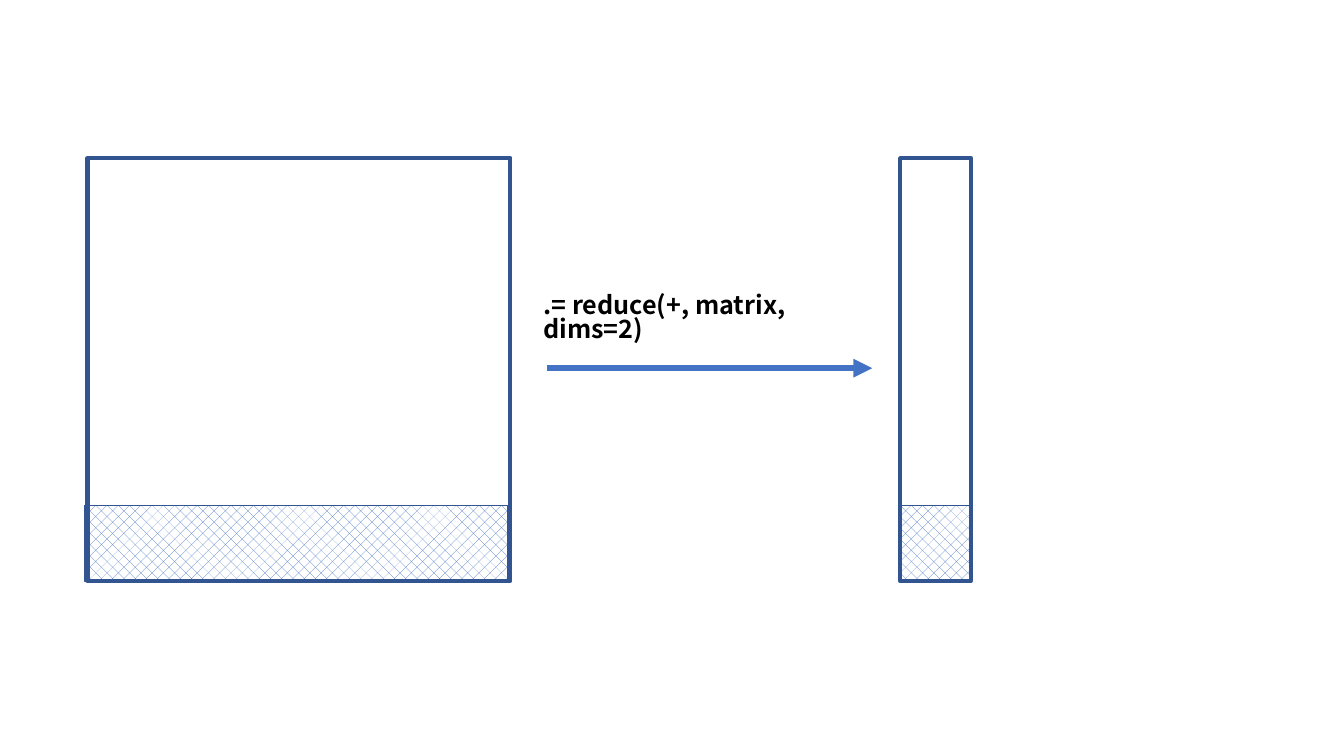
from dataclasses import dataclass

from lxml.etree import SubElement
from pptx import Presentation
from pptx.dml.color import RGBColor
from pptx.enum.dml import MSO_PATTERN
from pptx.enum.shapes import MSO_CONNECTOR, MSO_SHAPE
from pptx.enum.text import MSO_AUTO_SIZE
from pptx.oxml.ns import qn
from pptx.slide import Slide
from pptx.util import Pt

BLUE = "4472C4"
OUTLINE = "325491"
WHITE = "FFFFFF"
BLACK = "000000"
FONT = "Noto Sans CJK SC"

# Shared vertical layout of the matrix and its reduced column
TOP, SIDE = 113, 302
BAND_HEIGHT = 54
BAND_TOP = TOP + SIDE - BAND_HEIGHT
COLUMN_LEFT, COLUMN_WIDTH = 643, 50.4
ARROW_Y = 263


@dataclass
class Box:
    left: float
    top: float
    width: float
    height: float
    line_width: float
    hatched: bool = False


BAND_BOXES = [
    Box(60.5, BAND_TOP, SIDE, BAND_HEIGHT, 1, hatched=True),
    Box(COLUMN_LEFT, BAND_TOP, COLUMN_WIDTH, BAND_HEIGHT, 1, hatched=True),
]
FRAME_BOXES = [
    Box(62.6, TOP, SIDE, SIDE, 3),
    Box(COLUMN_LEFT, TOP, COLUMN_WIDTH, SIDE, 3),
]


def color(hex_code: str) -> RGBColor:
    return RGBColor.from_string(hex_code)


def draw_box(slide: Slide, box: Box) -> None:
    rect = slide.shapes.add_shape(
        MSO_SHAPE.RECTANGLE, Pt(box.left), Pt(box.top), Pt(box.width), Pt(box.height)
    )
    rect.shadow.inherit = False
    if box.hatched:
        rect.fill.patterned()
        rect.fill.pattern = MSO_PATTERN.PERCENT_25
        rect.fill.fore_color.rgb = color(BLUE)
        rect.fill.back_color.rgb = color(WHITE)
    else:
        rect.fill.background()
    rect.line.color.rgb = color(OUTLINE)
    rect.line.width = Pt(box.line_width)


def draw_arrow(slide: Slide, start: float, end: float, y: float) -> None:
    arrow = slide.shapes.add_connector(
        MSO_CONNECTOR.STRAIGHT, Pt(start), Pt(y), Pt(end), Pt(y)
    )
    arrow.line.color.rgb = color(BLUE)
    arrow.line.width = Pt(4.5)
    SubElement(arrow.line._get_or_add_ln(), qn("a:tailEnd"), type="triangle")
    SubElement(arrow._element.spPr, qn("a:effectLst"))


def draw_operation(slide: Slide, text: str) -> None:
    operation = slide.shapes.add_textbox(Pt(381), Pt(206.6), Pt(251.3), Pt(29))
    frame = operation.text_frame
    frame.word_wrap = True
    frame.auto_size = MSO_AUTO_SIZE.SHAPE_TO_FIT_TEXT
    paragraph = frame.paragraphs[0]
    paragraph.line_spacing = 0.82
    run = paragraph.add_run()
    run.text = text
    run.font.name = FONT
    run.font.size = Pt(18)
    run.font.bold = True
    run.font.color.rgb = color(BLACK)


def main() -> None:
    deck = Presentation()
    deck.slide_width, deck.slide_height = Pt(960), Pt(540)
    slide = deck.slides.add_slide(deck.slide_layouts[6])

    # Hatched bands below the frames that enclose them
    for box in BAND_BOXES + FRAME_BOXES:
        draw_box(slide, box)

    # Reduction from matrix to column
    draw_arrow(slide, 391, 623, ARROW_Y)
    draw_operation(slide, ".= reduce(+, matrix, dims=2)")

    deck.save("out.pptx")


if __name__ == "__main__":
    main()
